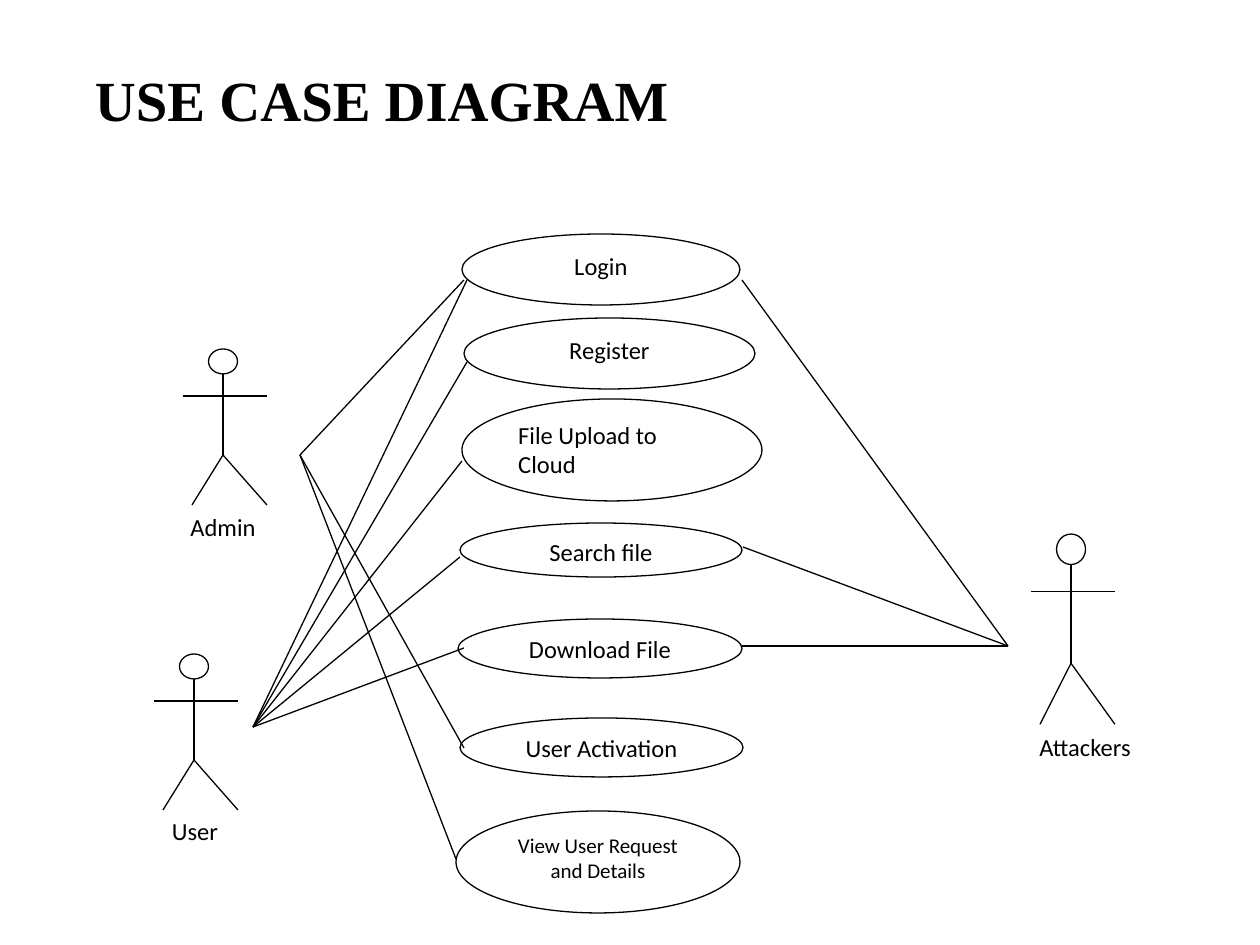
from lxml import etree
from pptx import Presentation
from pptx.dml.color import RGBColor
from pptx.enum.shapes import MSO_CONNECTOR, MSO_SHAPE
from pptx.enum.text import MSO_ANCHOR, MSO_AUTO_SIZE, PP_ALIGN
from pptx.oxml.ns import qn
from pptx.util import Emu, Pt

BLACK = RGBColor(0x00, 0x00, 0x00)
WHITE = RGBColor(0xFF, 0xFF, 0xFF)
LEFT, CENTER = PP_ALIGN.LEFT, PP_ALIGN.CENTER
OVAL, RECTANGLE = MSO_SHAPE.OVAL, MSO_SHAPE.RECTANGLE
STRAIGHT = MSO_CONNECTOR.STRAIGHT
PX_PER_INCH = 126

# Content: text, box (left, top, width, height), alignment, text size
TITLE = "USE CASE DIAGRAM"
USE_CASES = [
    ("Login", (462, 234, 278, 71), CENTER, 14),
    ("Register", (464, 318, 291, 71), CENTER, 14),
    ("File Upload to Cloud", (462, 399, 300, 102), LEFT, 14),
    ("Search file", (460, 523, 282, 54), CENTER, 14),
    ("Download File", (458, 619, 284, 59), CENTER, 14),
    ("User Activation", (460, 718, 283, 59), CENTER, 14),
    ("View User Request and Details", (456, 811, 284, 102), CENTER, 12),
]
# Each actor: figure position and stretch, label, and the links from its hub
ACTORS = [
    {"name": "Admin", "spine": 223, "top": 349, "stretch": 1,
     "label": (178, 506, 105, 40), "align": LEFT, "hub": (300, 455),
     "links": [(464, 280), (464, 748), (456, 859)]},
    {"name": "User", "spine": 194, "top": 654, "stretch": 1,
     "label": (141, 810, 108, 59), "align": CENTER, "hub": (253, 727),
     "links": [(467, 280), (467, 362), (462, 461), (460, 557), (464, 648)]},
    {"name": "Attackers", "spine": 1071, "top": 534, "stretch": 1.22,
     "label": (1014, 726, 142, 59), "align": CENTER, "hub": (1008, 646),
     "links": [(742, 280), (743, 547), (742, 646)]},
]
# Stick figure, measured from the top of the head and the spine
HEAD_WIDTH, NECK, ARMS, HIP, FEET = 29, 25, 47, 106, 156
ARM_SPAN = (-40, 44)
FOOT_SPAN = (-31, 44)


def px(length):
    return Emu(round(length * 914400 / PX_PER_INCH))


def add_box(slide, preset, box, outline):
    shape = slide.shapes.add_shape(preset, *map(px, box))
    shape.shadow.inherit = False
    shape.fill.solid()
    shape.fill.fore_color.rgb = WHITE
    shape.line.color.rgb = outline
    shape.line.width = Pt(0.75)
    return shape


def add_label(shape, text, align, size):
    frame = shape.text_frame
    frame.word_wrap = True
    frame.vertical_anchor = MSO_ANCHOR.TOP
    frame.text = text
    paragraph = frame.paragraphs[0]
    paragraph.alignment = align
    paragraph.space_after = Pt(10)
    font = paragraph.runs[0].font
    font.name, font.size = "Calibri", Pt(size)
    font.color.rgb = BLACK


def add_line(slide, start, end):
    line = slide.shapes.add_connector(STRAIGHT, *map(px, start + end))
    line.line.color.rgb = BLACK
    line.line.width = Pt(0.75)
    etree.SubElement(line._element.spPr, qn("a:effectLst"))


def add_figure(slide, spine, top, stretch):
    neck, arms, hip, feet = (top + part * stretch
                             for part in (NECK, ARMS, HIP, FEET))
    head = (spine - HEAD_WIDTH / 2, top, HEAD_WIDTH, neck - top)
    add_box(slide, OVAL, head, BLACK)
    add_line(slide, (spine, neck), (spine, hip))
    add_line(slide, (spine + ARM_SPAN[0], arms), (spine + ARM_SPAN[1], arms))
    for offset in FOOT_SPAN:
        add_line(slide, (spine, hip), (spine + offset, feet))


def main():
    deck = Presentation()
    deck.slide_width, deck.slide_height = px(1260), px(945)
    slide = deck.slides.add_slide(deck.slide_layouts[5])

    # Title
    title = slide.shapes.title
    title.left, title.top, title.width, title.height = map(px, (68, 79, 1124, 49))
    frame = title.text_frame
    frame.text = TITLE
    frame.word_wrap = True
    frame.auto_size = MSO_AUTO_SIZE.NONE
    frame.vertical_anchor = MSO_ANCHOR.MIDDLE
    frame.margin_left = px(27)
    heading = frame.paragraphs[0]
    heading.alignment = LEFT
    heading.line_spacing = 0.9
    font = heading.runs[0].font
    font.name, font.size, font.bold = "Times New Roman", Pt(32.4), True
    font.color.rgb = BLACK

    # Use cases
    for text, box, align, size in USE_CASES:
        add_label(add_box(slide, OVAL, box, BLACK), text, align, size)

    # Actors, their labels and links
    for actor in ACTORS:
        label = add_box(slide, RECTANGLE, actor["label"], WHITE)
        add_label(label, actor["name"], actor["align"], 14)
        add_figure(slide, actor["spine"], actor["top"], actor["stretch"])
        for target in actor["links"]:
            add_line(slide, actor["hub"], target)

    deck.save("out.pptx")


if __name__ == "__main__":
    main()
